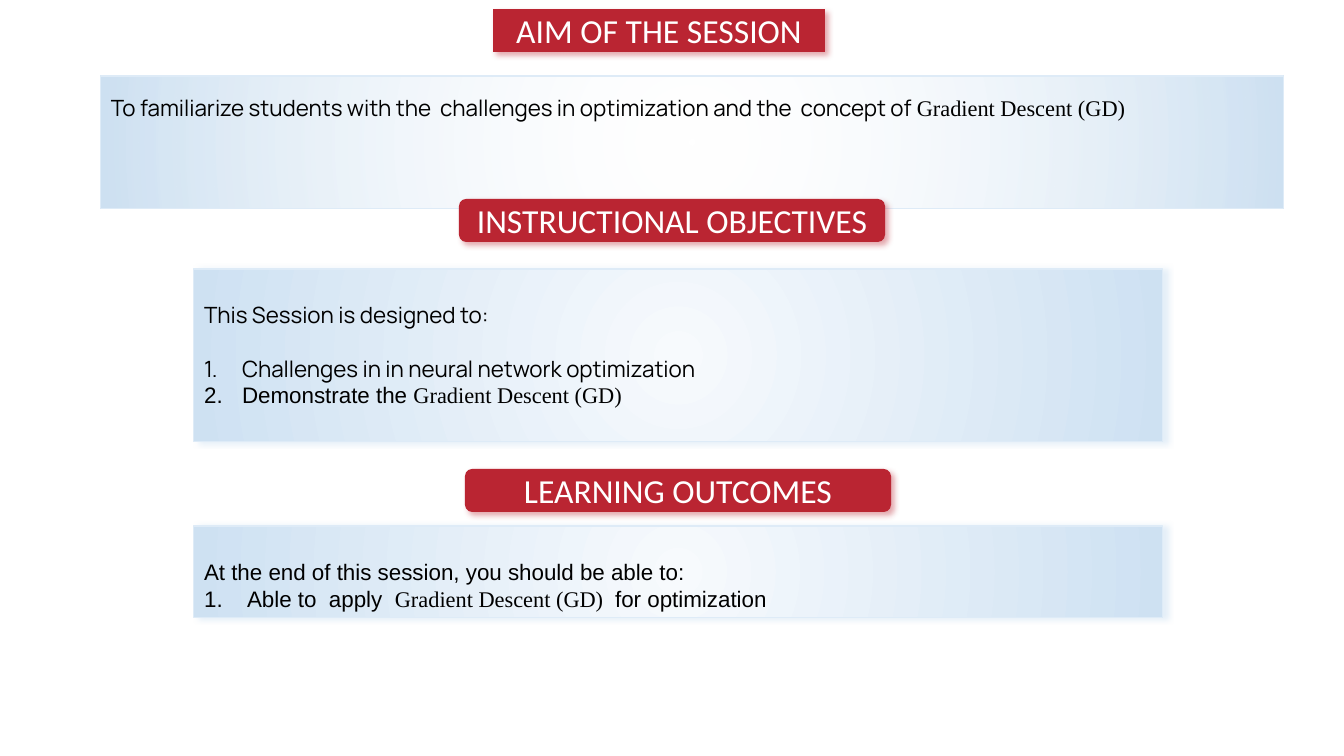
"""Build the slide with the session's aim, objectives and outcomes."""
from lxml import etree
from pptx import Presentation
from pptx import util as u
from pptx.dml.color import RGBColor
from pptx.enum import shapes, text
from pptx.oxml import parse_xml
from pptx.oxml.ns import nsdecls, qn

PX = 914400 / 100.8
COLORS = {
    "heading": "BA2532",
    "heading text": "FFFFFF",
    "panel centre": "F7FAFD",
    "panel edge": "CEE1F2",
    "panel line": "DEEBF7",
    "panel shadow": "BDD7EE",
    "panel text": "000000",
}
SANS, ARIAL, TIMES = "Manrope", "Arial", "Times New Roman"


def place(shape, box):
    """Move a shape to a box given in px."""
    shape.left, shape.top, shape.width, shape.height = [u.Emu(round(side * PX)) for side in box]


def add_shadow(shape, color, degrees):
    """Give a shape a soft outer shadow."""
    shape.shadow.inherit = False
    effects = shape._element.spPr.find(qn("a:effectLst"))
    effects.append(parse_xml(
        f'<a:outerShdw {nsdecls("a")} blurRad="{u.Pt(4)}" dist="{u.Pt(3)}" '
        f'dir="{degrees * 60000}" algn="tl" rotWithShape="0"><a:srgbClr val="{color}">'
        '<a:alpha val="40000"/></a:srgbClr></a:outerShdw>'))


presentation = Presentation()
presentation.slide_width = u.Emu(round(1344 * PX))
presentation.slide_height = u.Emu(round(756 * PX))
slide = presentation.slides.add_slide(presentation.slide_layouts[3])
title, objectives, outcomes = slide.placeholders

aim = slide.shapes.add_shape(shapes.MSO_SHAPE.RECTANGLE, 0, 0, 0, 0)
panels = [
    (aim, (101, 76, 1183, 133), [
        (1.5, 0, [("To familiarize students with the  challenges in optimization "
                   "and the  concept of ", SANS), ("Gradient Descent (GD)", TIMES)]),
    ]),
    (objectives, (194, 269, 969, 173), [
        (2, 0, [("This Session is designed to:", SANS)]),
        (2, 38, [("Challenges in in neural network optimization", SANS)]),
        (1, 38, [("Demonstrate the ", ARIAL), ("Gradient Descent (GD)", TIMES)]),
    ]),
    (outcomes, (194, 526, 969, 92), [
        (2, 0, [("At the end of this session, you should be able to:", ARIAL)]),
        (1, 43, [("Able to  apply  ", ARIAL), ("Gradient Descent (GD) ", TIMES),
                 (" for optimization", ARIAL)]),
    ]),
]
for panel, box, paragraphs in panels:
    place(panel, box)
    panel.fill.gradient()
    for stop, name in zip(panel.fill.gradient_stops, ("panel centre", "panel edge")):
        stop.color.rgb = RGBColor.from_string(COLORS[name])
    gradient = panel._element.spPr.find(qn("a:gradFill"))
    gradient.remove(gradient.find(qn("a:lin")))
    gradient.append(parse_xml(
        f'<a:path {nsdecls("a")} path="circle">'
        '<a:fillToRect l="50000" t="50000" r="50000" b="50000"/></a:path>'))
    panel.line.color.rgb = RGBColor.from_string(COLORS["panel line"])
    panel.line.width = u.Pt(0.75)
    if panel is aim:
        panel.shadow.inherit = False
        centre = gradient.find(".//" + qn("a:srgbClr"))
        etree.SubElement(centre, qn("a:alpha"), val="0")
    else:
        add_shadow(panel, COLORS["panel shadow"], 0)

    frame = panel.text_frame
    frame.word_wrap = True
    frame.auto_size = text.MSO_AUTO_SIZE.NONE
    frame.vertical_anchor = text.MSO_ANCHOR.TOP
    for index, (spacing, indent, runs) in enumerate(paragraphs):
        paragraph = frame.add_paragraph() if index else frame.paragraphs[0]
        properties = paragraph._p.get_or_add_pPr()
        properties.set("marL", str(round(indent * PX)))
        properties.set("indent", str(round(-indent * PX)))
        if indent:
            etree.SubElement(properties, qn("a:buFontTx"))
            etree.SubElement(properties, qn("a:buAutoNum"), type="arabicPeriod")
        else:
            etree.SubElement(properties, qn("a:buNone"))
        paragraph.alignment = text.PP_ALIGN.LEFT
        paragraph.line_spacing = spacing
        paragraph.space_before = u.Pt(0)
        for words, font in runs:
            run = paragraph.add_run()
            run.text = words
            run.font.name = font
            run.font.size = u.Pt(16)
            run.font.color.rgb = RGBColor.from_string(COLORS["panel text"])

headings = [
    ("AIM OF THE SESSION", (493, 9, 332, 43)),
    ("INSTRUCTIONAL OBJECTIVES", (459, 199, 426, 43)),
    ("LEARNING OUTCOMES", (465, 469, 426, 43)),
]
for index, (words, box) in enumerate(headings):
    if index:
        heading = slide.shapes.add_shape(shapes.MSO_SHAPE.ROUNDED_RECTANGLE, 0, 0, 0, 0)
        place(heading, box)
    else:
        heading = title
        place(heading, box)
        geometry = etree.SubElement(heading._element.spPr, qn("a:prstGeom"), prst="roundRect")
        etree.SubElement(geometry, qn("a:avLst"))
    heading.fill.solid()
    heading.fill.fore_color.rgb = RGBColor.from_string(COLORS["heading"])
    heading.line.fill.background()
    add_shadow(heading, COLORS["heading"], 45)
    frame = heading.text_frame
    frame.text = words
    frame.word_wrap = True
    frame.auto_size = text.MSO_AUTO_SIZE.NONE
    frame.vertical_anchor = text.MSO_ANCHOR.MIDDLE
    paragraph = frame.paragraphs[0]
    paragraph.alignment = text.PP_ALIGN.CENTER
    font = paragraph.runs[0].font
    font.name = "Calibri"
    font.size = u.Pt(24)
    font.color.rgb = RGBColor.from_string(COLORS["heading text"])

presentation.save("out.pptx")
